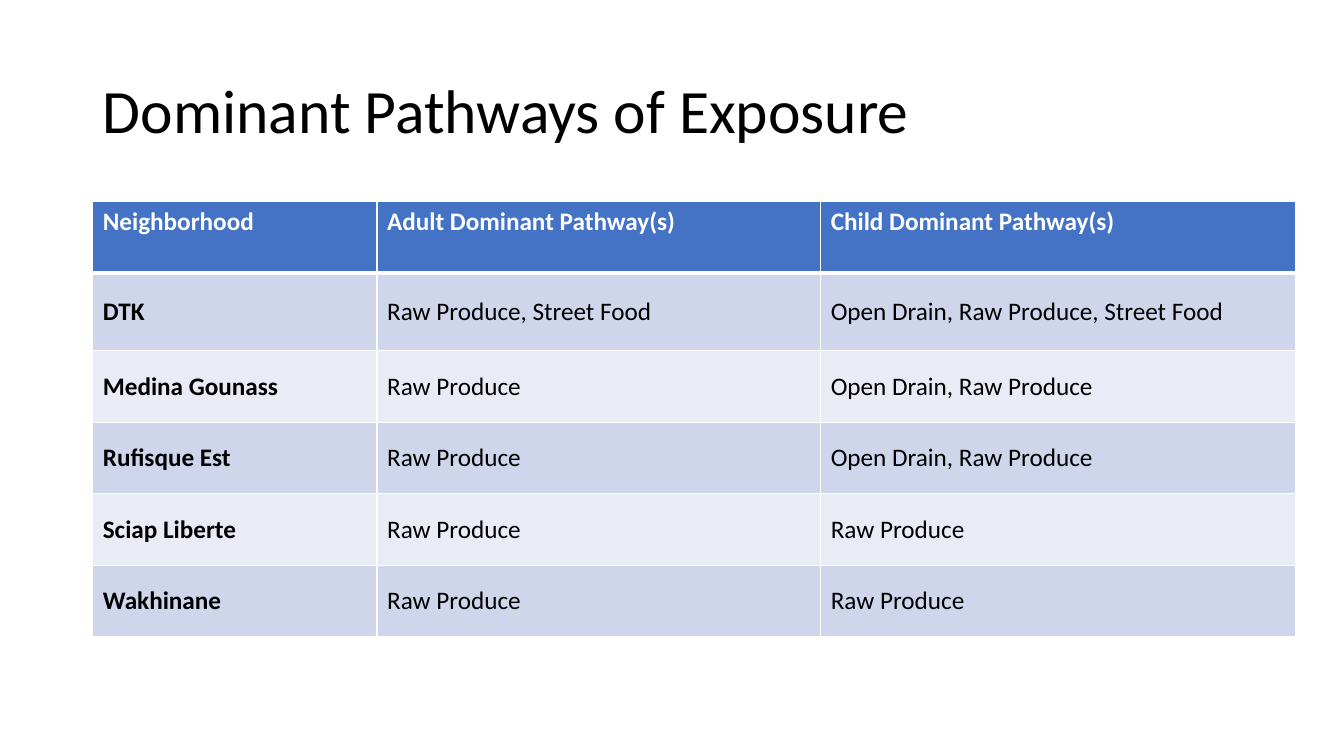
from lxml import etree
from pptx import Presentation
from pptx.dml.color import RGBColor
from pptx.enum.text import MSO_ANCHOR, PP_ALIGN
from pptx.oxml.ns import qn
from pptx.util import Inches, Pt

TOP, MIDDLE = MSO_ANCHOR.TOP, MSO_ANCHOR.MIDDLE
LEFT = PP_ALIGN.LEFT

TITLE = "Dominant Pathways of Exposure"
ROWS = [
    ("Neighborhood", "Adult Dominant Pathway(s)", "Child Dominant Pathway(s)"),
    ("DTK", "Raw Produce, Street Food", "Open Drain, Raw Produce, Street Food"),
    ("Medina Gounass", "Raw Produce", "Open Drain, Raw Produce"),
    ("Rufisque Est", "Raw Produce", "Open Drain, Raw Produce"),
    ("Sciap Liberte", "Raw Produce", "Raw Produce"),
    ("Wakhinane", "Raw Produce", "Raw Produce"),
]

FONT = "Calibri"
BLACK = RGBColor(0x00, 0x00, 0x00)
WHITE = RGBColor(0xFF, 0xFF, 0xFF)
HEADER_BLUE = RGBColor(0x44, 0x72, 0xC4)
BANDS = (RGBColor(0xE9, 0xEB, 0xF5), RGBColor(0xCF, 0xD5, 0xEA))

SLIDE_W, SLIDE_H = 13.33, 7.5
MARGIN = 0.92
COL_WIDTHS = (2.82, 4.4, 4.71)
ROW_H, FIRST_BODY_ROW_H = 0.71, 0.77
ROW_HEIGHTS = [FIRST_BODY_ROW_H if i == 1 else ROW_H for i in range(len(ROWS))]


def write(tf, text, size, color, bold):
    p = tf.paragraphs[0]
    p.alignment = LEFT
    r = p.add_run()
    r.text = text
    for name, value in {"name": FONT, "size": Pt(size), "bold": bold}.items():
        setattr(r.font, name, value)
    r.font.color.rgb = color
    return p


def add_borders(cell, bottom):
    tcPr = cell._tc.get_or_add_tcPr()
    for side, width in {"lnL": 1, "lnR": 1, "lnT": 1, "lnB": bottom}.items():
        ln = etree.SubElement(tcPr, qn(f"a:{side}"), w=str(Pt(width)))
        fill = etree.SubElement(ln, qn("a:solidFill"))
        etree.SubElement(fill, qn("a:srgbClr"), val=str(WHITE))


def add_title(s):
    sp = s.shapes.title
    sp.left, sp.top = Inches(MARGIN), Inches(0.4)
    sp.width, sp.height = Inches(SLIDE_W - 2 * MARGIN), Inches(1.45)
    sp.text_frame.vertical_anchor = MIDDLE
    p = write(sp.text_frame, TITLE, 44, BLACK, False)
    p.line_spacing = 0.9


def add_pathways(s):
    table = s.shapes.add_table(
        len(ROWS), len(COL_WIDTHS), Inches(MARGIN), Inches(2),
        Inches(sum(COL_WIDTHS)), Inches(sum(ROW_HEIGHTS))).table
    for column, width in zip(table.columns, COL_WIDTHS):
        column.width = Inches(width)
    for row, height in zip(table.rows, ROW_HEIGHTS):
        row.height = Inches(height)
    for i, texts in enumerate(ROWS):
        header = i == 0
        for j, text in enumerate(texts):
            cell = table.cell(i, j)
            add_borders(cell, 3 if header else 1)
            cell.fill.solid()
            cell.fill.fore_color.rgb = HEADER_BLUE if header else BANDS[i % 2]
            cell.vertical_anchor = TOP if header else MIDDLE
            write(cell.text_frame, text, 18, WHITE if header else BLACK,
                  header or j == 0)


def main():
    prs = Presentation()
    prs.slide_width, prs.slide_height = Inches(SLIDE_W), Inches(SLIDE_H)
    s = prs.slides.add_slide(prs.slide_layouts[5])
    add_title(s)
    add_pathways(s)
    prs.save("out.pptx")


if __name__ == "__main__":
    main()
